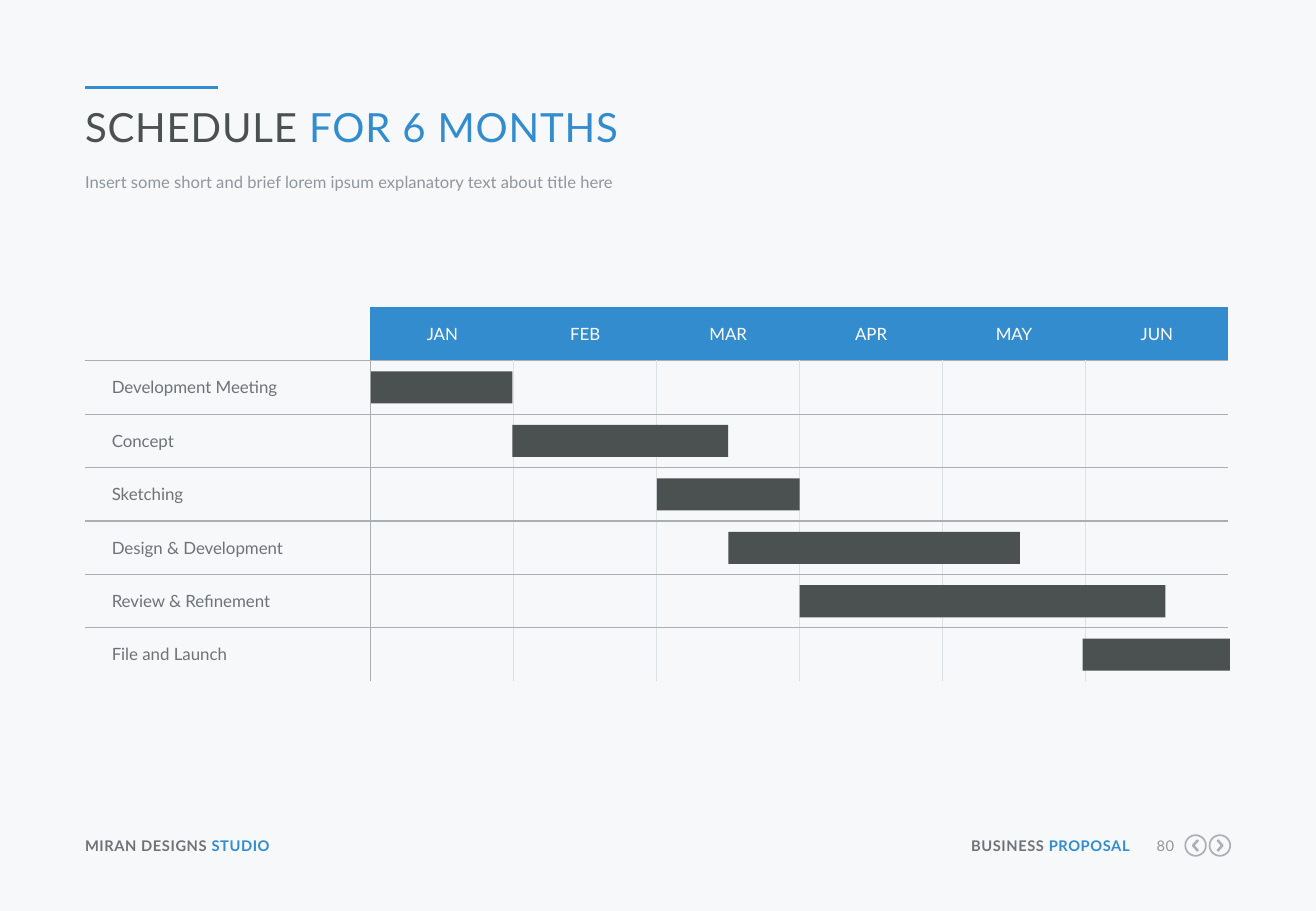
from lxml import etree
from pptx import Presentation
from pptx.dml.color import RGBColor
from pptx.enum.shapes import MSO_CONNECTOR, MSO_SHAPE
from pptx.enum.text import MSO_ANCHOR, MSO_AUTO_SIZE, PP_ALIGN
from pptx.oxml.ns import qn
from pptx.util import Inches, Pt

LEFT, CENTER, RIGHT = PP_ALIGN.LEFT, PP_ALIGN.CENTER, PP_ALIGN.RIGHT
TOP, MIDDLE = MSO_ANCHOR.TOP, MSO_ANCHOR.MIDDLE
RECTANGLE, OVAL = MSO_SHAPE.RECTANGLE, MSO_SHAPE.OVAL
STRAIGHT = MSO_CONNECTOR.STRAIGHT
NO_AUTOFIT = MSO_AUTO_SIZE.NONE

BACKGROUND, BLUE, DARK, WHITE = "F6F8FA", "328CCD", "4B5050", "FFFFFF"
LABEL, MUTED, RULE, PALE_RULE = "6E7378", "91969B", "AAAFB4", "DCE1E6"

MARGIN, CONTENT_WIDTH = 0.7, 9.41
COLUMN, ROW = CONTENT_WIDTH / 8, 0.44
LABEL_COLUMNS = 2
TABLE_TOP = 5.75
BAR_HEIGHT = 0.6

MONTHS = ["JAN", "FEB", "MAR", "APR", "MAY", "JUN"]
# Task, start and end in months
TASKS = [
    ("Development Meeting", 0, 0.99),
    ("Concept", 0.99, 2.5),
    ("Sketching", 2, 3),
    ("Design & Development", 2.5, 4.54),
    ("Review & Refinement", 3, 5.56),
    ("File and Launch", 4.98, 6.01),
]


def rgb(value):
    return RGBColor.from_string(value)


def apply(target, values):
    for attribute, value in values.items():
        setattr(target, attribute, value)


def x(columns):
    """Distance from the slide's left edge of a column count within the margin."""
    return Inches(MARGIN + columns * COLUMN)


def y(rows):
    return Inches(rows * ROW)


class ScheduleSlide:
    """Draws on a slide with places given in grid columns and rows."""

    font = "Lato"
    no_margins = dict(margin_left=0, margin_top=0, margin_right=0, margin_bottom=0)

    def __init__(self, presentation):
        self.slide = presentation.slides.add_slide(presentation.slide_layouts[5])
        self.shapes = self.slide.shapes
        fill = self.slide.background.fill
        fill.solid()
        fill.fore_color.rgb = rgb(BACKGROUND)

    def add_runs(self, paragraph, runs, size, align=LEFT, bold=False, spacing=0):
        """Add (text, colour) runs; spacing is in hundredths of a point."""
        paragraph.alignment = align
        for text, colour in runs:
            run = paragraph.add_run()
            run.text = text
            apply(run.font, dict(name=self.font, size=Pt(size), bold=bold))
            run.font.color.rgb = rgb(colour)
            run.font._element.set("spc", str(spacing))

    def fill_frame(self, holder, column, row, columns, rows, runs, size,
                   line_spacing=None, **style):
        apply(holder, dict(left=x(column), top=y(row),
                           width=Inches(columns * COLUMN), height=y(rows)))
        frame = holder.text_frame
        apply(frame, dict(self.no_margins, word_wrap=True, auto_size=NO_AUTOFIT,
                          vertical_anchor=TOP))
        paragraph = frame.paragraphs[0]
        paragraph.line_spacing = line_spacing
        self.add_runs(paragraph, runs, size, **style)

    def title(self, *place, **style):
        self.fill_frame(self.shapes.title, *place, **style)

    def text(self, *place, **style):
        self.fill_frame(self.shapes.add_textbox(0, 0, 0, 0), *place, **style)

    def rule(self, column, row, columns, colour, width):
        line = self.shapes.add_connector(STRAIGHT, x(column), y(row),
                                         x(column + columns), y(row))
        line.line.color.rgb = rgb(colour)
        line.line.width = Pt(width)
        etree.SubElement(line._element.spPr, qn("a:effectLst"))

    def bar(self, column, row, columns, rows, colour):
        bar = self.shapes.add_shape(RECTANGLE, x(column), y(row),
                                    Inches(columns * COLUMN), y(rows))
        bar.shadow.inherit = False
        bar.fill.solid()
        bar.fill.fore_color.rgb = rgb(colour)
        bar.line.fill.background()

    def arrow_button(self, column, row, direction, colour):
        """Ringed chevron centred on a grid point; direction is -1 or 1."""
        centre_x, centre_y = x(column), y(row)
        radius, reach, half = Inches(0.085), Inches(0.02), Inches(0.045)
        ring = self.shapes.add_shape(OVAL, centre_x - radius, centre_y - radius,
                                     2 * radius, 2 * radius)
        back = centre_x - direction * reach
        outline = self.shapes.build_freeform(back, centre_y - half)
        outline.add_line_segments([(centre_x + direction * reach, centre_y),
                                   (back, centre_y + half)], close=False)
        for part, width in ((ring, 1), (outline.convert_to_shape(), 1.5)):
            part.shadow.inherit = False
            part.fill.background()
            part.line.color.rgb = rgb(colour)
            part.line.width = Pt(width)

    def cell(self, cell, text, colour, borders, fill=None, align=LEFT, indent=0):
        properties = cell._tc.get_or_add_tcPr()
        for side, border in borders.items():
            line = etree.SubElement(properties, qn(f"a:ln{side}"), w=str(Pt(0.75)))
            if border:
                paint = etree.SubElement(line, qn("a:solidFill"))
                etree.SubElement(paint, qn("a:srgbClr"), val=border)
            else:
                etree.SubElement(line, qn("a:noFill"))
        if fill:
            cell.fill.solid()
            cell.fill.fore_color.rgb = rgb(fill)
        else:
            cell.fill.background()
        apply(cell, dict(self.no_margins, margin_left=Inches(indent),
                         vertical_anchor=MIDDLE))
        if text:
            self.add_runs(cell.text_frame.paragraphs[0], [(text, colour)], 10, align)

    def schedule(self, row, months, tasks):
        height, width = len(tasks) + 1, len(months) + 1

        def vertical(line, edge):
            if edge in (0, width):
                return None
            if line == 0:
                return BLUE
            return RULE if edge == 1 else PALE_RULE

        def horizontal(edge):
            return None if edge in (0, height) else RULE

        table = self.shapes.add_table(height, width, x(0), y(row),
                                      Inches(CONTENT_WIDTH), y(height)).table
        apply(table, dict(first_row=False, horz_banding=False))
        for index, column in enumerate(table.columns):
            column.width = Inches(COLUMN * (1 if index else LABEL_COLUMNS))
        header = [""] + months
        body = [[task] + [""] * len(months) for task, *_ in tasks]
        for line, values in enumerate([header] + body):
            table.rows[line].height = y(1)
            for index, value in enumerate(values):
                borders = dict(L=vertical(line, index), R=vertical(line, index + 1),
                               T=horizontal(line), B=horizontal(line + 1))
                if line == 0 and index:
                    style = dict(colour=WHITE, fill=BLUE, align=CENTER)
                else:
                    style = dict(colour=LABEL, indent=0 if index else 0.22)
                self.cell(table.cell(line, index), value, borders=borders, **style)

        for line, (_, start, end) in enumerate(tasks, 1):
            self.bar(LABEL_COLUMNS + start, row + line + (1 - BAR_HEIGHT) / 2,
                     end - start, BAR_HEIGHT, DARK)


def main():
    presentation = Presentation()
    apply(presentation, dict(slide_width=Inches(10.83), slide_height=Inches(7.5)))
    page = ScheduleSlide(presentation)

    page.rule(0, 1.64, 0.93, BLUE, 2.25)
    page.title(0, 1.91, 8, 0.93, [("SCHEDULE ", DARK), ("FOR 6 MONTHS", BLUE)],
               23.8, spacing=50)
    page.text(0, 3.18, 8, 0.48,
              [("Insert some short and brief lorem ipsum explanatory text about title here",
                MUTED)], 9.8, line_spacing=Pt(13))

    page.schedule(TABLE_TOP, MONTHS, TASKS)

    footer = dict(size=8.7, spacing=30)
    page.text(0, 15.66, 1.8, 0.34, [("MIRAN DESIGNS ", LABEL), ("STUDIO", BLUE)],
              bold=True, **footer)
    page.text(6.14, 15.66, 1.17, 0.34, [("BUSINESS ", LABEL), ("PROPOSAL", BLUE)],
              bold=True, align=RIGHT, **footer)
    page.text(7.41, 15.66, 0.21, 0.34, [("80", MUTED)], align=RIGHT, **footer)
    for column, direction in ((7.77, -1), (7.94, 1)):
        page.arrow_button(column, 15.82, direction, RULE)

    presentation.save("out.pptx")


if __name__ == "__main__":
    main()
